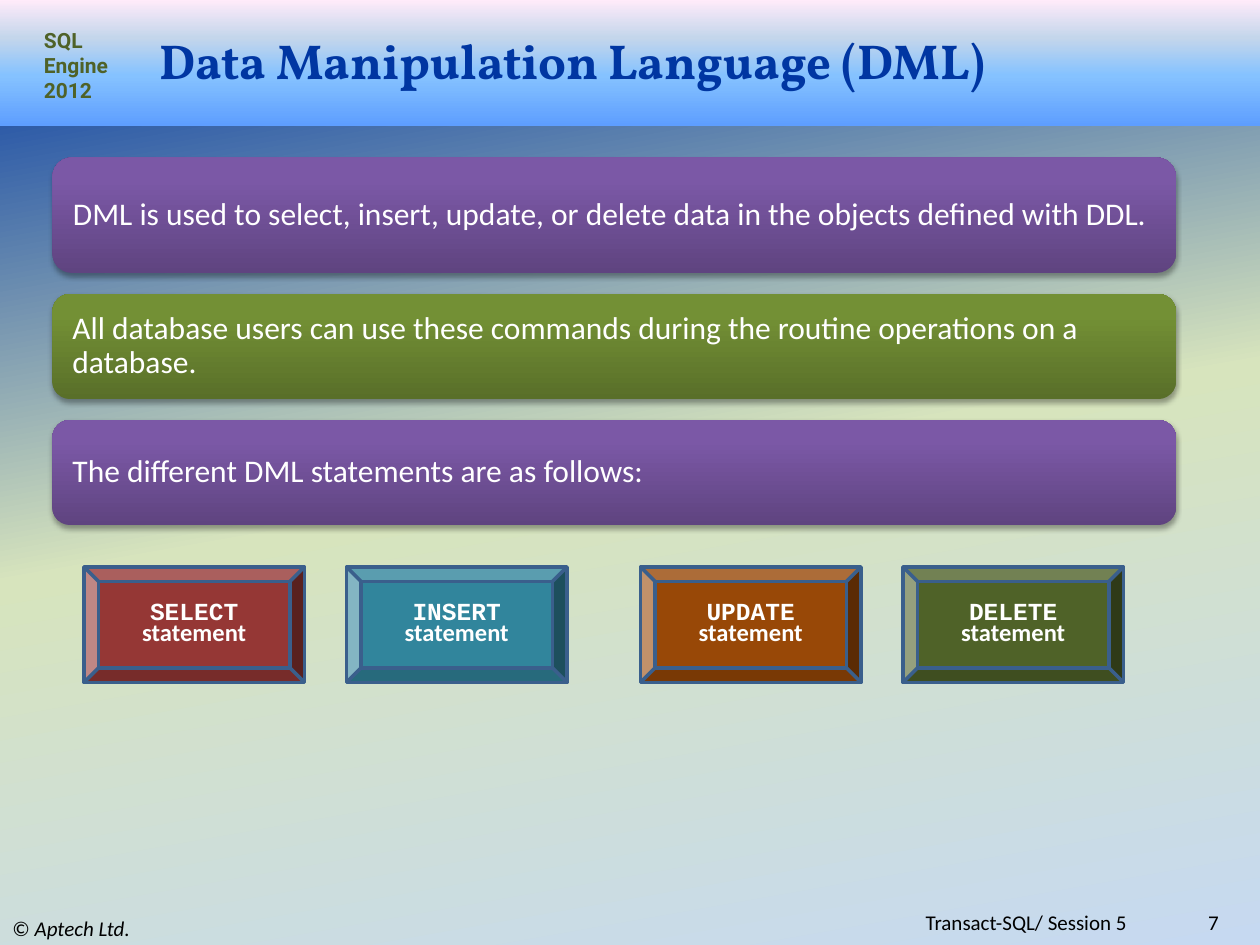
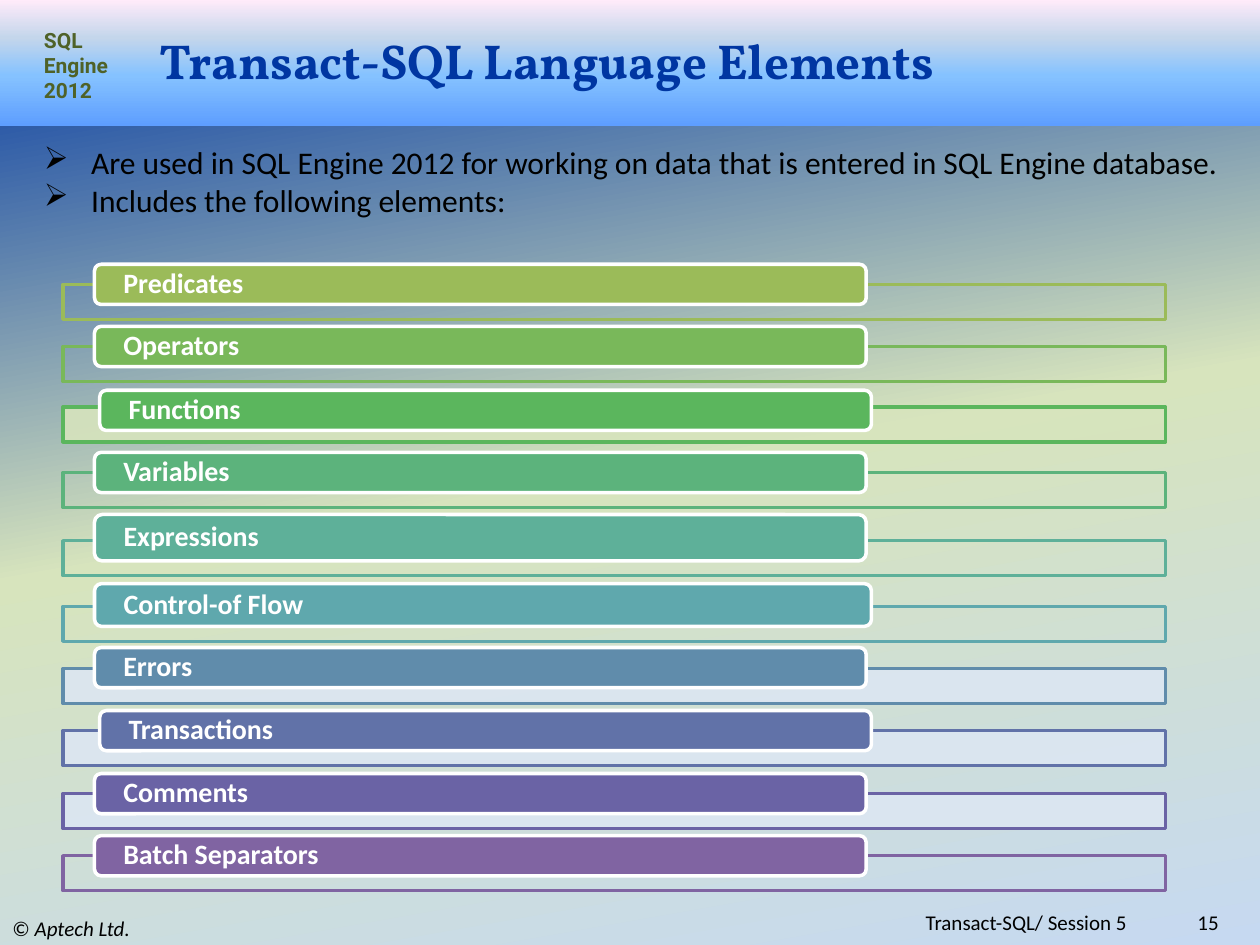
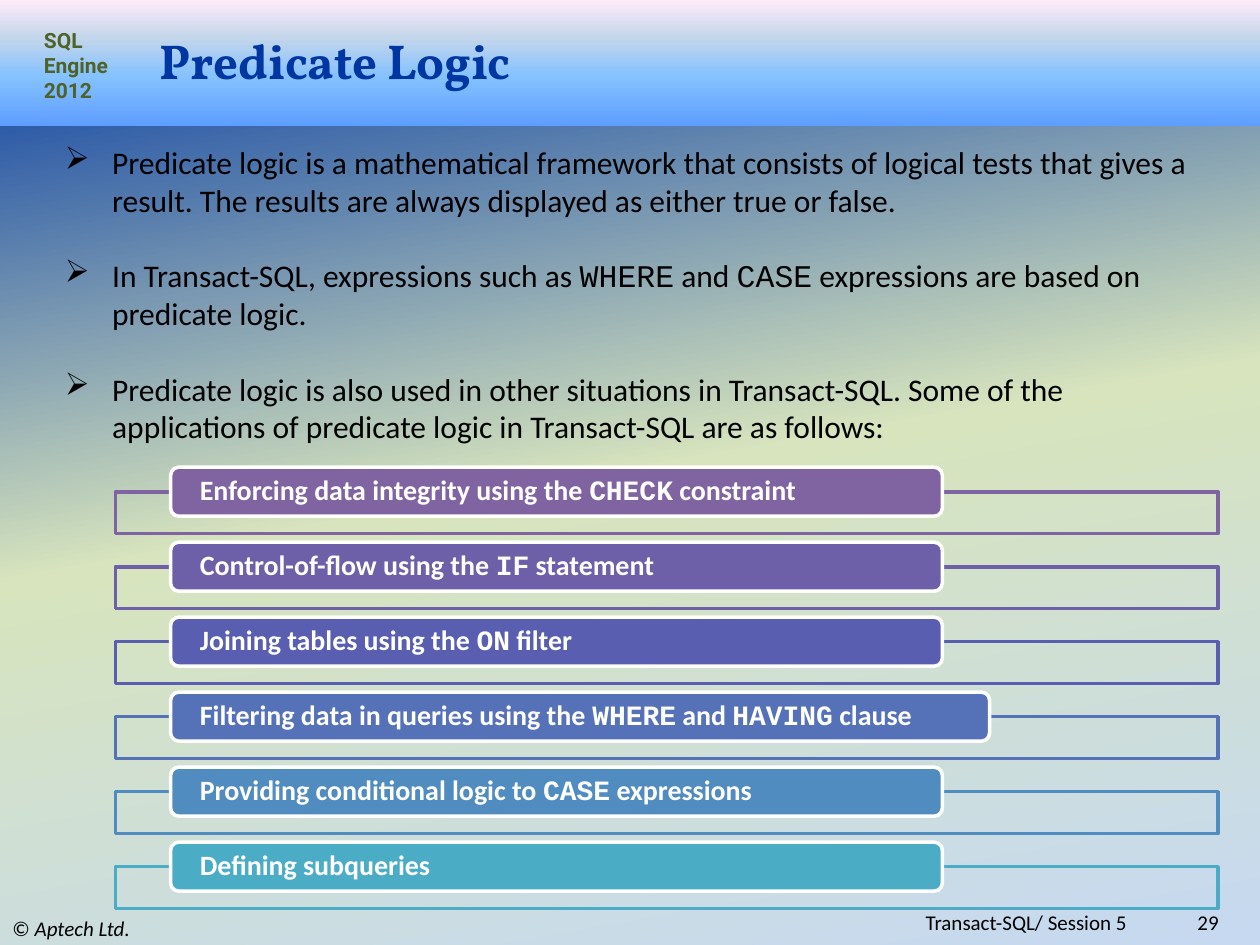
"""Build three slides on Transact-SQL statements, language elements and predicate logic."""
from dataclasses import dataclass

import lxml.etree
import pptx
import pptx.dml.color
import pptx.enum.shapes
import pptx.enum.text
import pptx.oxml.ns
import pptx.util

Pt = pptx.util.Pt
Shape = pptx.enum.shapes.MSO_SHAPE
Align = pptx.enum.text.PP_ALIGN
Anchor = pptx.enum.text.MSO_ANCHOR
qn = pptx.oxml.ns.qn


@dataclass(frozen=True)
class Theme:
    backdrop: tuple = ((0, "0036A2"), (50, "D7E4BD"), (100, "C6D9F1"))
    band: tuple = ((0, "5E9EFF"), (40, "85C2FF"), (70, "C4D6EB"), (100, "FFEBFA"))
    purple: tuple = ((0, "5F4480"), (80, "7B58A6"), (100, "7C57A8"))
    green: tuple = ((0, "596F29"), (80, "739035"), (100, "749334"))
    navy: str = "0036A2"
    olive: str = "4F6228"
    ink: str = "000000"
    white: str = "FFFFFF"
    bevel_edge: str = "3A5F8C"
    lime_tint: str = "D7E4BD"
    sky_tint: str = "DCE6F2"
    body_font: str = "Calibri"
    code_font: str = "Courier New"
    label_font: str = "Roboto"
    title_font: str = "Vollkorn"
    title_size: int = 28
    body_size: int = 18
    row_size: int = 16
    statement_size: int = 14
    small_size: int = 12


THEME = Theme()


@dataclass
class Row:
    label: str
    accent: str
    top: float
    frame_top: float
    left: float = 54
    width: float = 441
    height: float = 23
    tint: str = ""


COURSE = "SQL Engine 2012"
COPYRIGHT = "© `Aptech Ltd.`"
SESSION = "Transact-SQL/ Session 5"

DML_TITLE, DML_NUMBER = "Data Manipulation Language (DML)", 7
DML_FACTS = [
    ("DML is used to select, insert, update, or delete data in the objects defined with DDL.",
     THEME.purple, 90, 66),
    ("All database users can use these commands during the routine operations on a database.",
     THEME.green, 168, 60),
    ("The different DML statements are as follows:", THEME.purple, 240, 60),
]
DML_STATEMENTS = [
    ("SELECT", "953735", 48),
    ("INSERT", "31859C", 198),
    ("UPDATE", "984807", 366),
    ("DELETE", THEME.olive, 516),
]

ELEMENTS_TITLE, ELEMENTS_NUMBER = "Transact-SQL Language Elements", 15
ELEMENTS_INTRO = [
    "Are used in SQL Engine 2012 for working on data that is entered in SQL Engine database.",
    "Includes the following elements:",
]
ELEMENTS = [
    Row("Predicates", "9BBB59", 151, 162.5),
    Row("Operators", "79B85A", 186.5, 198),
    Row("Functions", "5BB65D", 223, 232.5, left=57, tint=THEME.lime_tint),
    Row("Variables", "5CB37C", 258.5, 270),
    Row("Expressions", "5EB099", 294, 309, height=26.5),
    Row("Control-of Flow", "5FA8AD", 333.5, 346.5, width=444, height=24.5),
    Row("Errors", "608CAB", 370, 382, tint=THEME.sky_tint),
    Row("Transactions", "6172A8", 406, 417.5, left=57, tint=THEME.sky_tint),
    Row("Comments", "6A63A5", 442, 453.5, tint=THEME.sky_tint),
    Row("Batch Separators", "8064A2", 477.5, 489),
]

LOGIC_TITLE, LOGIC_NUMBER = "Predicate Logic", 29
LOGIC_POINTS = [
    "Predicate logic is a mathematical framework that consists of logical tests that gives a "
    "result. The results are always displayed as either true or false.",
    "In Transact-SQL, expressions such as `WHERE` and `CASE` expressions are based on "
    "predicate logic.",
    "Predicate logic is also used in other situations in Transact-SQL. Some of the "
    "applications of predicate logic in Transact-SQL are as follows:",
]
APPLICATIONS = [
    ("Enforcing data integrity using the `CHECK` constraint", "8064A2", 441),
    ("Control-of-flow using the `IF` statement", "6E5FA9", 441),
    ("Joining tables using the `ON` filter", "5A5EB1", 441),
    ("Filtering data in queries using the `WHERE` and `HAVING` clause", "5572B8", 468),
    ("Providing conditional logic to `CASE` expressions", "508CBF", 441),
    ("Defining subqueries", "4BACC6", 441),
]
APPLICATIONS_TOP, APPLICATIONS_STEP = 267, 42.85


def rgb(code):
    return pptx.dml.color.RGBColor.from_string(code)


def add_child(parent, tag, **attributes):
    child = lxml.etree.SubElement(parent, qn(tag))
    for key, value in attributes.items():
        child.set(key, str(value))
    return child


def paint_gradient(fill, element, stops, angle):
    fill.gradient()
    gradient = element.xpath(".//a:gradFill")[0]
    stop_list = gradient.find(qn("a:gsLst"))
    for stop in list(stop_list):
        stop_list.remove(stop)
    for position, code in stops:
        stop = add_child(stop_list, "a:gs", pos=position * 1000)
        add_child(stop, "a:srgbClr", val=code)
    direction = gradient.find(qn("a:lin"))
    direction.set("ang", str(angle * 60000))
    direction.set("scaled", "0")


def write(holder, paragraphs, *, size, font=THEME.body_font, color=THEME.ink, bold=False,
          marked_font=THEME.code_font, marked_italic=False, align=Align.LEFT,
          anchor=Anchor.MIDDLE, inset=(7.2, 3.6), spacing=None, gap=0, bullet=""):
    """Fill a shape with paragraphs; backticks set off the marked runs."""
    frame = holder.text_frame
    frame.word_wrap = True
    frame.vertical_anchor = anchor
    frame.margin_left = frame.margin_right = Pt(inset[0])
    frame.margin_top = frame.margin_bottom = Pt(inset[1])
    for index, text in enumerate(paragraphs):
        paragraph = frame.add_paragraph() if index else frame.paragraphs[0]
        paragraph.alignment = align
        if spacing:
            paragraph.line_spacing = spacing
        if index and gap:
            paragraph.space_before = Pt(gap)
        if bullet:
            properties = paragraph._p.get_or_add_pPr()
            properties.set("marL", str(Pt(27)))
            properties.set("indent", str(Pt(-27)))
            add_child(properties, "a:buChar", char=bullet)
        for position, part in enumerate(text.split("`")):
            if not part:
                continue
            marked = position % 2 == 1
            run = paragraph.add_run()
            run.text = part
            run.font.size = Pt(size)
            run.font.name = marked_font if marked else font
            run.font.bold = bold
            run.font.italic = marked and marked_italic
            run.font.color.rgb = rgb(color)


def add_text(slide, box, paragraphs, **style):
    write(slide.shapes.add_textbox(*map(Pt, box)), paragraphs, **style)


def add_panel(slide, kind, box, fill="", edge="", opacity=100):
    panel = slide.shapes.add_shape(kind, *map(Pt, box))
    panel.shadow.inherit = False
    if isinstance(fill, tuple):
        paint_gradient(panel.fill, panel._element, fill, 270)
    elif fill:
        panel.fill.solid()
        panel.fill.fore_color.rgb = rgb(fill)
        if opacity < 100:
            tone = panel._element.xpath("./p:spPr/a:solidFill/a:srgbClr")[0]
            add_child(tone, "a:alpha", val=opacity * 1000)
    else:
        panel.fill.background()
    if edge:
        panel.line.color.rgb = rgb(edge)
        panel.line.width = Pt(2)
    else:
        panel.line.fill.background()
    return panel


def cast_shadow(panel):
    effects = panel._element.spPr.find(qn("a:effectLst"))
    shadow = add_child(effects, "a:outerShdw", blurRad=Pt(3.1), dist=Pt(1.8),
                       dir=90 * 60000, rotWithShape=0)
    add_child(add_child(shadow, "a:srgbClr", val=THEME.ink), "a:alpha", val=35000)


def add_row(slide, row, frame_left, frame_height):
    add_panel(slide, Shape.RECTANGLE, (frame_left, row.frame_top, 630, frame_height),
              row.tint, row.accent, opacity=90)
    label = add_panel(slide, Shape.ROUNDED_RECTANGLE,
                      (row.left, row.top, row.width, row.height), row.accent, THEME.white)
    write(label, [row.label], size=THEME.row_size, color=THEME.white, bold=True,
          inset=(15.4, 0), spacing=0.9)


def start_slide(deck, title, number):
    slide = deck.slides.add_slide(deck.slide_layouts[6])
    paint_gradient(slide.background.fill, slide._element, THEME.backdrop, 80)
    add_panel(slide, Shape.RECTANGLE, (0, 0, 720, 72), THEME.band)
    add_text(slide, (0, 520.5, 240, 19.5), [COPYRIGHT], size=THEME.small_size,
             marked_font=THEME.body_font, marked_italic=True)
    add_text(slide, (18, 12, 54, 51), [COURSE], size=THEME.small_size,
             font=THEME.label_font, color=THEME.olive, bold=True, anchor=Anchor.TOP)
    add_text(slide, (642, 520.5, 61.5, 13), [str(number)], size=THEME.small_size,
             align=Align.RIGHT)
    add_text(slide, (180, 520.5, 471, 13), [SESSION], size=THEME.small_size,
             align=Align.RIGHT)
    add_text(slide, (84, 18, 600, 32.5), [title], size=THEME.title_size,
             font=THEME.title_font, color=THEME.navy, bold=True)
    return slide


def build_dml(deck):
    slide = start_slide(deck, DML_TITLE, DML_NUMBER)
    for fact, shades, top, height in DML_FACTS:
        panel = add_panel(slide, Shape.ROUNDED_RECTANGLE, (30, top, 642, height), shades)
        cast_shadow(panel)
        write(panel, [fact], size=THEME.body_size, color=THEME.white, inset=(8.5, 3),
              spacing=0.9)
    for keyword, color, left in DML_STATEMENTS:
        button = add_panel(slide, Shape.BEVEL, (left, 324, 126, 66), color, THEME.bevel_edge)
        write(button, [f"`{keyword} `statement"], size=THEME.statement_size,
              color=THEME.white, bold=True, align=Align.CENTER, spacing=0.7)


def build_elements(deck):
    slide = start_slide(deck, ELEMENTS_TITLE, ELEMENTS_NUMBER)
    add_text(slide, (18, 78, 690, 51), ELEMENTS_INTRO, size=THEME.body_size,
             anchor=Anchor.TOP, bullet="➢")
    for row in ELEMENTS:
        add_row(slide, row, 36, 20)


def build_logic(deck):
    slide = start_slide(deck, LOGIC_TITLE, LOGIC_NUMBER)
    add_text(slide, (30, 78, 672, 181.5), LOGIC_POINTS, size=THEME.body_size,
             anchor=Anchor.TOP, bullet="➢", gap=21.6)
    for index, (label, accent, width) in enumerate(APPLICATIONS):
        top = APPLICATIONS_TOP + index * APPLICATIONS_STEP
        add_row(slide, Row(label, accent, top, top + 14, 97.5, width, 28), 66, 24)


def main():
    deck = pptx.Presentation()
    deck.slide_width, deck.slide_height = Pt(720), Pt(540)
    build_dml(deck)
    build_elements(deck)
    build_logic(deck)
    deck.save("out.pptx")


if __name__ == "__main__":
    main()
